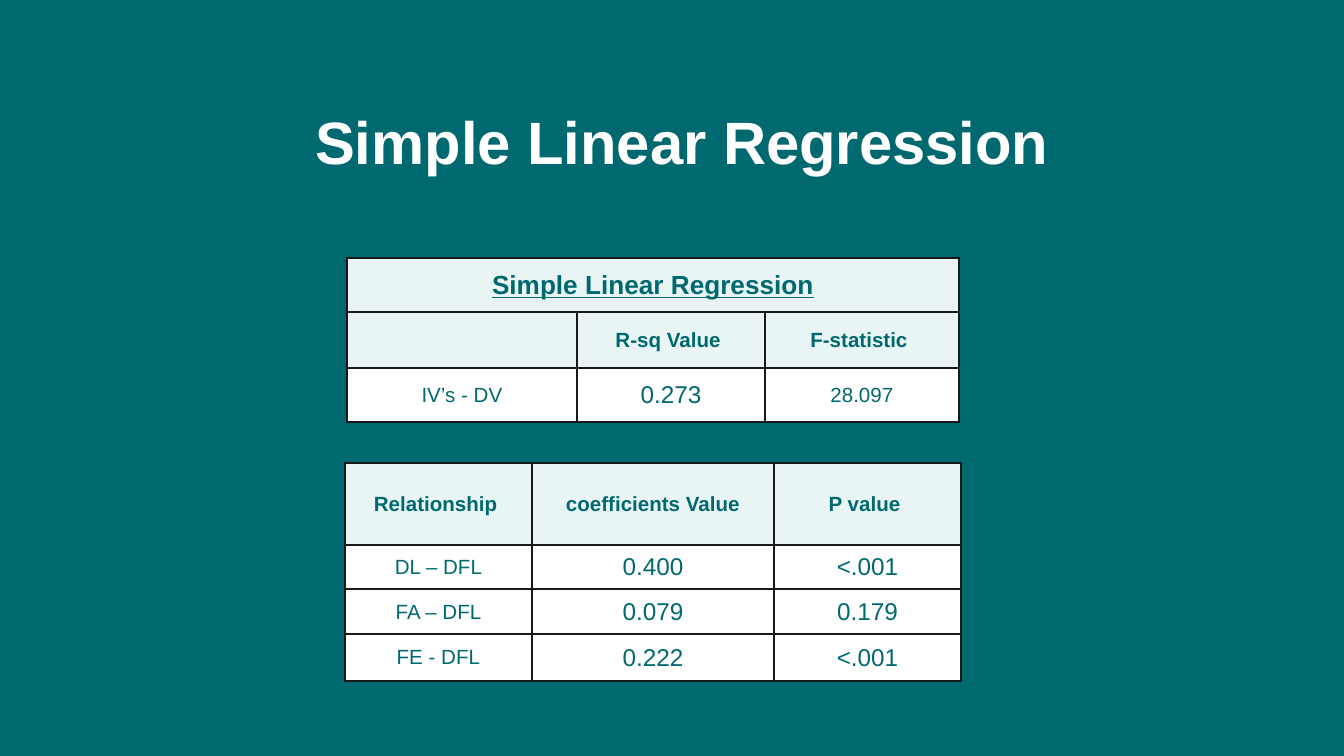
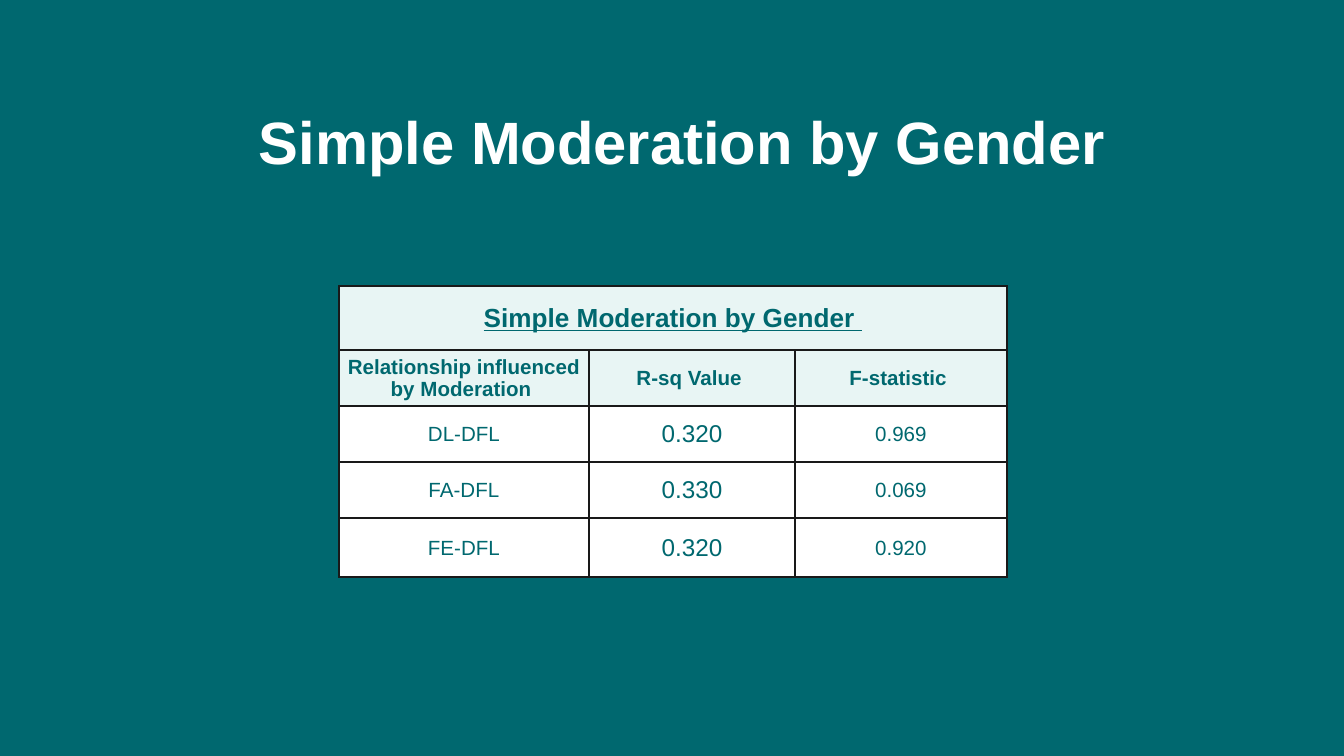
from lxml import etree
from pptx import Presentation
from pptx import util as u
from pptx.dml.color import RGBColor
from pptx.enum import text
from pptx.oxml import ns

PX = 914400 / 134.4
FONT = "Arial"
COLORS = {"teal": "00686F", "mint": "E8F5F4", "white": "FFFFFF", "line": "191919"}


def write(tf, txt, size, color="teal", bold=False, underline=False):
    p = tf.paragraphs[0]
    p.alignment = text.PP_ALIGN.CENTER
    r = p.add_run()
    r.text = txt
    f = r.font
    f.name, f.size, f.bold, f.underline = FONT, u.Pt(size), bold, underline
    f.color.rgb = RGBColor.from_string(COLORS[color])


def add_table(s, left, top, cols, heights, rows, big):
    """Rows of one text span the table; columns listed in big hold larger values."""
    box = [round(n * PX) for n in (left, top, sum(cols), sum(heights))]
    tbl = s.shapes.add_table(len(rows), len(cols), *box).table
    tbl.first_row = tbl.horz_banding = False
    for col, width in zip(tbl.columns, cols):
        col.width = round(width * PX)
    for row, height in zip(tbl.rows, heights):
        row.height = round(height * PX)

    # The header ends with the first row of three column names
    header = next(i for i, row in enumerate(rows) if len(row) > 1)
    for i, row in enumerate(rows):
        if len(row) == 1:
            tbl.cell(i, 0).merge(tbl.cell(i, len(cols) - 1))
        for j in range(len(cols)):
            cell = tbl.cell(i, j)
            cell.vertical_anchor = text.MSO_ANCHOR.MIDDLE
            cell.margin_left = cell.margin_top = cell.margin_right = round(PX)
            cell.margin_bottom = 0
            cell.fill.solid()
            fill = "mint" if i <= header else "white"
            cell.fill.fore_color.rgb = RGBColor.from_string(COLORS[fill])

            # Cell borders
            pr = cell._tc.get_or_add_tcPr()
            for k, side in enumerate(("lnL", "lnR", "lnT", "lnB")):
                ln = etree.Element(ns.qn("a:" + side), w=str(u.Pt(1)))
                solid = etree.SubElement(ln, ns.qn("a:solidFill"))
                etree.SubElement(solid, ns.qn("a:srgbClr"), val=COLORS["line"])
                pr.insert(k, ln)

            if j < len(row) and row[j]:
                if i < header:
                    write(cell.text_frame, row[j], 14, bold=True, underline=True)
                elif i == header:
                    write(cell.text_frame, row[j], 11, bold=True)
                else:
                    write(cell.text_frame, row[j], 13 if j in big else 11)


# Titles and tables of each slide
slides = [
    ("Simple Linear Regression", [
        dict(left=345, top=463, cols=[187, 242, 187], heights=[82, 44, 45, 47],
             big=(1, 2), rows=[
                 ["Relationship ", "coefficients Value", "P value "],
                 ["DL – DFL", "0.400", "<.001"],
                 ["FA – DFL", "0.079", "0.179"],
                 ["FE - DFL", "0.222", "<.001"]]),
        dict(left=347, top=258, cols=[230, 188, 194], heights=[54, 56, 54],
             big=(1,), rows=[
                 ["Simple Linear Regression"],
                 ["", "R-sq Value ", "F-statistic "],
                 ["IV’s - DV", "0.273", "28.097"]]),
    ]),
    ("Simple Moderation by Gender", [
        dict(left=339, top=286, cols=[250, 206, 212], heights=[64, 56, 56, 56, 59],
             big=(1,), rows=[
                 ["Simple Moderation by Gender "],
                 ["Relationship influenced by Moderation ", "R-sq Value ", "F-statistic "],
                 ["DL-DFL", "0.320", "0.969"],
                 ["FA-DFL", "0.330", "0.069"],
                 ["FE-DFL", "0.320", "0.920"]]),
    ]),
]

# Shared background
prs = Presentation()
prs.slide_width, prs.slide_height = round(1344 * PX), round(756 * PX)
bg = prs.slide_master.background.fill
bg.solid()
bg.fore_color.rgb = RGBColor.from_string(COLORS["teal"])

for title, tables in slides:
    s = prs.slides.add_slide(prs.slide_layouts[5])

    # Title
    sp = s.shapes.title
    sp.left, sp.top, sp.width, sp.height = [round(n * PX) for n in (130, 91, 1105, 118)]
    tf = sp.text_frame
    tf.auto_size = text.MSO_AUTO_SIZE.NONE
    tf.vertical_anchor = text.MSO_ANCHOR.TOP
    tf.margin_left = tf.margin_top = tf.margin_right = tf.margin_bottom = u.Inches(0.1)
    write(tf, title, 32, color="white", bold=True)

    # Tables
    for table in tables:
        add_table(s, **table)

prs.save("out.pptx")
